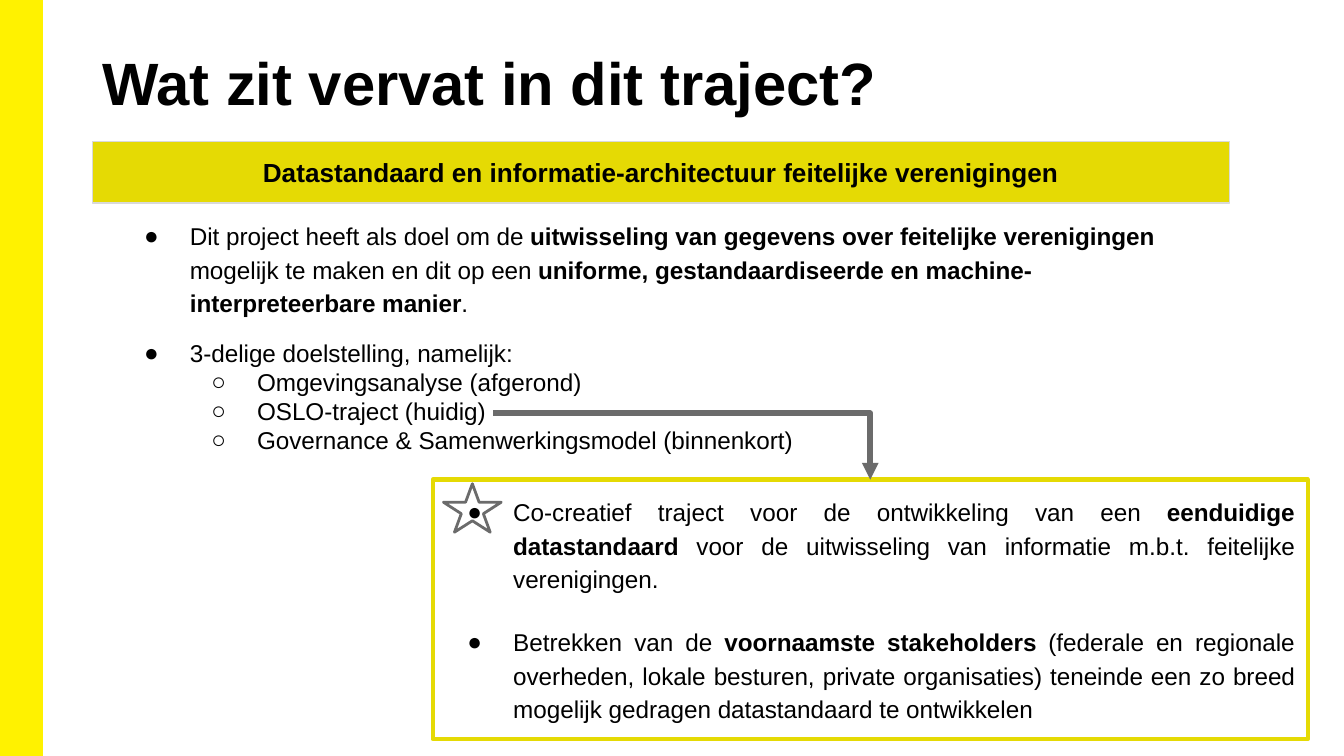
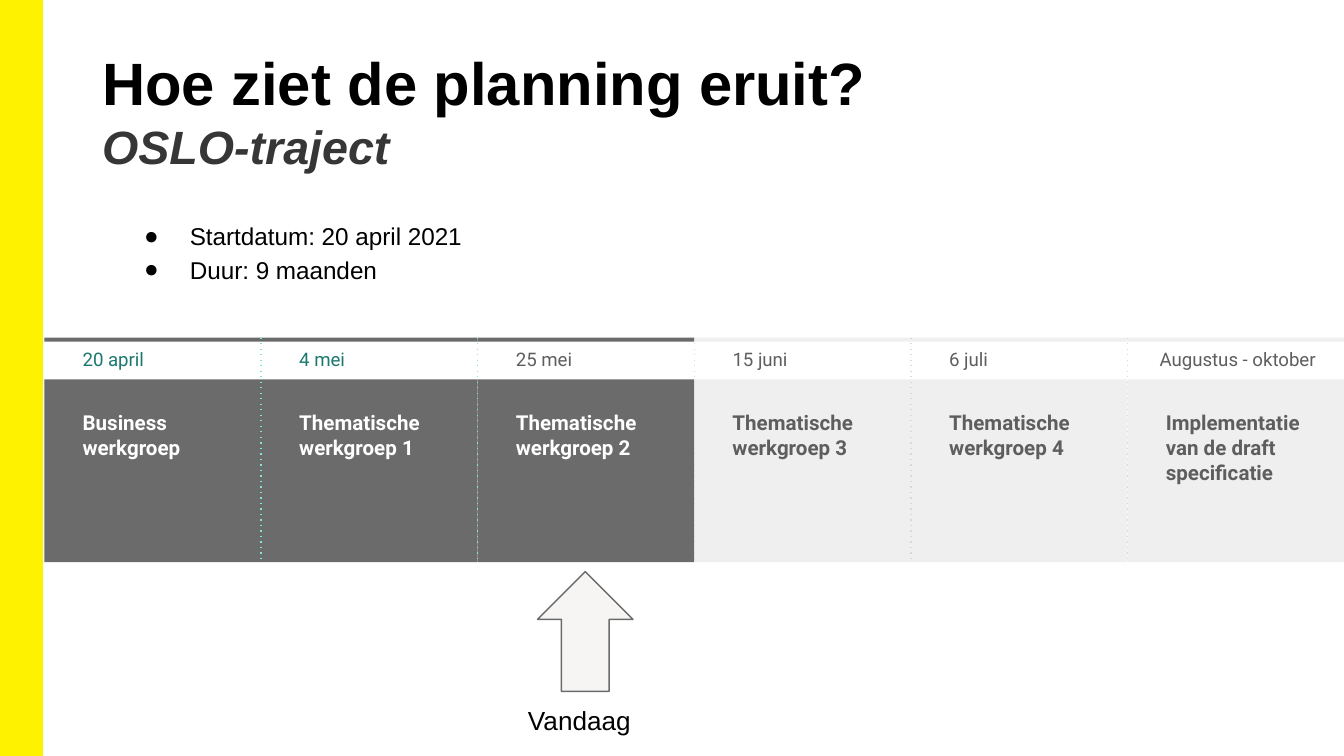
from dataclasses import dataclass

from lxml.etree import SubElement
from pptx import Presentation
from pptx.dml.color import RGBColor
from pptx.enum.shapes import MSO_CONNECTOR as Link, MSO_SHAPE as Preset
from pptx.enum.text import MSO_ANCHOR as Anchor, PP_ALIGN as Align
from pptx.oxml.ns import qn
from pptx.util import Inches, Pt


@dataclass(frozen=True)
class Theme:
    """Colours, fonts and type sizes of the presentation."""
    side: str = "FFF200"
    accent: str = "E5DA04"
    ink: str = "000000"
    subtitle: str = "373636"
    dark: str = "6B6B6B"
    pale: str = "EFEFEF"
    muted: str = "5E5E5E"
    white: str = "FFFFFF"
    rule: str = "D9D9D9"
    teal: str = "1B786E"
    mint: str = "83E3D9"
    arrow: str = "F6F5F3"
    body_font: str = "Arial"
    plan_font: str = "Roboto"
    title_size: int = 32
    subtitle_size: int = 25
    label_size: int = 14
    body_size: int = 13
    stage_size: int = 11
    date_size: int = 10


THEME = Theme()
WIDTH = Inches(10)
HEIGHT = WIDTH * 9 // 16
LOOSE = 1.15
STAGE_LEFT, STAGE_WIDTH = 3.3, 16.12
PLAN_TOP, PLAN_BOTTOM = 44.66, 74.38
STAGES = [
    ("20 april", "Business werkgroep"),
    ("4 mei", "Thematische werkgroep 1"),
    ("25 mei", "Thematische werkgroep 2"),
    ("15 juni", "Thematische werkgroep 3"),
    ("6 juli", "Thematische werkgroep 4"),
    ("Augustus - oktober", "Implementatie van de draft specificatie"),
]
PAST_STAGES, STARTED_STAGES = 2, 3


def across(percent):
    """Turn a share of the slide's width into a length."""
    return round(WIDTH * percent / 100)


def down(percent):
    """Turn a share of the slide's height into a length."""
    return round(HEIGHT * percent / 100)


def area(left, top, width, height):
    """Turn four shares of the slide into a position and size."""
    return across(left), down(top), across(width), down(height)


def rgb(colour):
    """Give the colour object for a hex value."""
    return RGBColor.from_string(colour)


def figure(shapes, preset, place, fill=None, line=None, weight=0.75):
    """Draw a preset shape with an optional fill and outline."""
    shape = shapes.add_shape(preset, *area(*place))
    shape.shadow.inherit = False
    if fill:
        shape.fill.solid()
        shape.fill.fore_color.rgb = rgb(fill)
    else:
        shape.fill.background()
    if line:
        shape.line.color.rgb = rgb(line)
        shape.line.width = Pt(weight)
    else:
        shape.line.fill.background()
    return shape


def connect(shapes, kind, start, end, colour, weight, detail, value):
    """Draw a connector with one line detail: a dash or an arrowhead."""
    link = shapes.add_connector(kind, across(start[0]), down(start[1]),
                                across(end[0]), down(end[1]))
    link.line.color.rgb = rgb(colour)
    link.line.width = Pt(weight)
    outline = link._element.spPr.find(qn("a:ln"))
    SubElement(outline, qn(detail), **value)
    SubElement(link._element.spPr, qn("a:effectLst"))
    return link


def prepare(shape, inset=(0.1, 0.1), anchor=Anchor.TOP):
    """Set the insets, wrapping and anchor of a text frame."""
    frame = shape.text_frame
    frame.word_wrap = True
    frame.vertical_anchor = anchor
    frame.margin_left = frame.margin_right = Inches(inset[0])
    frame.margin_top = frame.margin_bottom = Inches(inset[1])
    return frame


def write(frame, runs, size, colour=THEME.ink, font=THEME.body_font, bold=False,
          italic=False, align=Align.LEFT, spacing=None, before=0, after=0,
          bullet_level=None):
    """Add a paragraph; every second run in a list of runs is bold."""
    first = frame.paragraphs[0]
    paragraph = frame.add_paragraph() if first.runs else first
    if bullet_level is not None:
        add_bullet(paragraph, bullet_level)
    paragraph.alignment = align
    if spacing:
        paragraph.line_spacing = spacing
    if before:
        paragraph.space_before = Pt(before)
    if after:
        paragraph.space_after = Pt(after)
    for number, words in enumerate(runs):
        run = paragraph.add_run()
        run.text = words
        run.font.name = font
        run.font.size = Pt(size)
        run.font.bold = bold or number % 2 == 1
        run.font.italic = italic
        run.font.color.rgb = rgb(colour)


def add_bullet(paragraph, level):
    """Give a paragraph a hanging bullet for its level."""
    paragraph.level = level
    properties = paragraph._p.get_or_add_pPr()
    properties.set("marL", str(Inches(0.5 * (level + 1))))
    properties.set("indent", str(Inches(-0.34)))
    colour = SubElement(properties, qn("a:buClr"))
    SubElement(colour, qn("a:srgbClr"), val=THEME.ink)
    SubElement(properties, qn("a:buFont"), typeface=THEME.body_font)
    SubElement(properties, qn("a:buChar"), char="●○"[level])


def text_area(shapes, place, **layout):
    """Add an empty text box and return its frame."""
    return prepare(shapes.add_textbox(*area(*place)), **layout)


def start_slide(deck, title, subtitle=None):
    """Add a slide with the yellow side band and its heading."""
    shapes = deck.slides.add_slide(deck.slide_layouts[6]).shapes
    figure(shapes, Preset.RECTANGLE, (0, 0, 3.1, 100), THEME.side, THEME.side, 1)
    heading = text_area(shapes, (6.9, 5.34, 86.2, 14.41), inset=(0.07, 0.04))
    write(heading, [title], THEME.title_size, bold=True)
    if subtitle:
        write(heading, [subtitle], THEME.subtitle_size, THEME.subtitle,
              bold=True, italic=True)
    return shapes


def add_scope(deck):
    """Build the slide on what the project contains."""
    shapes = start_slide(deck, "Wat zit vervat in dit traject?")
    goals = text_area(shapes, (8.14, 26.95, 81.8, 35.77))
    write(goals, ["Dit project heeft als doel om de ",
                  "uitwisseling van gegevens over feitelijke verenigingen",
                  " mogelijk te maken en dit op een ",
                  "uniforme, gestandaardiseerde en machine-interpreteerbare manier",
                  "."], THEME.body_size, spacing=LOOSE, bullet_level=0)
    write(goals, ["3-delige doelstelling, namelijk:"], THEME.body_size,
          before=11, bullet_level=0)
    for part in ("Omgevingsanalyse (afgerond)", "OSLO-traject (huidig)",
                 "Governance & Samenwerkingsmodel (binnenkort)"):
        write(goals, [part], THEME.body_size, bullet_level=1)

    banner = figure(shapes, Preset.RECTANGLE, (6.9, 18.7, 84.6, 8.19),
                    THEME.accent, THEME.rule)
    write(prepare(banner, anchor=Anchor.MIDDLE),
          ["Datastandaard en informatie-architectuur feitelijke verenigingen"],
          THEME.label_size, bold=True, align=Align.CENTER)

    track = figure(shapes, Preset.RECTANGLE, (32.2, 63.45, 65.1, 34.34),
                   line=THEME.accent, weight=2.25)
    track_text = prepare(track)
    write(track_text, ["Co-creatief traject voor de ontwikkeling van een ",
                       "eenduidige datastandaard",
                       " voor de uitwisseling van informatie m.b.t. feitelijke verenigingen."],
          THEME.body_size, align=Align.JUSTIFY, spacing=LOOSE, bullet_level=0)
    write(track_text, ["Betrekken van de ", "voornaamste stakeholders",
                       " (federale en regionale overheden, lokale besturen, private "
                       "organisaties) teneinde een zo breed mogelijk gedragen "
                       "datastandaard te ontwikkelen"],
          THEME.body_size, align=Align.JUSTIFY, spacing=LOOSE, before=16, bullet_level=0)

    pointer = connect(shapes, Link.ELBOW, (36.7, 54.65), (64.75, 63.45), THEME.dark, 3,
                      "a:tailEnd", {"type": "triangle"})
    pointer.end_connect(track, 0)
    pointer._element.spPr.find(qn("a:prstGeom")).set("prst", "bentConnector2")
    figure(shapes, Preset.STAR_5_POINT, (33, 64, 4.3, 6.41),
           line=THEME.dark, weight=1.5)


def add_stage(shapes, index, date, name):
    """Draw one column of the timeline as a group."""
    stage = shapes.add_group_shape().shapes
    left = STAGE_LEFT + index * STAGE_WIDTH
    started, past = index < STARTED_STAGES, index < PAST_STAGES
    last = index == len(STAGES) - 1
    fill = THEME.dark if started else THEME.pale
    for top, height in ((50.18, 24.2), (PLAN_TOP, 0.53)):
        figure(stage, Preset.RECTANGLE, (left, top, STAGE_WIDTH, height), fill)
    label = text_area(stage, (left + 1.86, 52.49, 12.4, 7.12))
    write(label, [name], THEME.stage_size, THEME.white if started else THEME.muted,
          THEME.plan_font, bold=True)
    date_left, date_width = (1.4, 14.3) if last else (1.86, 9.2)
    day = text_area(stage, (left + date_left, PLAN_TOP, date_width, 2.67))
    write(day, [date], THEME.date_size, THEME.teal if past else THEME.muted,
          THEME.plan_font, spacing=LOOSE, after=16)
    if not last:
        edge = left + STAGE_WIDTH
        connect(stage, Link.STRAIGHT, (edge, PLAN_TOP), (edge, PLAN_BOTTOM),
                THEME.mint if past else THEME.rule, 0.75, "a:prstDash", {"val": "dot"})


def add_planning(deck):
    """Build the slide with the timeline of work sessions."""
    shapes = start_slide(deck, "Hoe ziet de planning eruit?", "OSLO-traject")
    facts = text_area(shapes, (8.14, 26.95, 81.8, 11.92))
    for fact in ("Startdatum: 20 april 2021", "Duur: 9 maanden"):
        write(facts, [fact], THEME.body_size, spacing=LOOSE, bullet_level=0)
    for index, (date, name) in reversed(list(enumerate(STAGES))):
        add_stage(shapes, index, date, name)
    figure(shapes, Preset.UP_ARROW, (40, 75.62, 7.1, 15.84), THEME.arrow, THEME.dark)
    today = text_area(shapes, (38.3, 91.4, 16.8, 7.83))
    write(today, ["Vandaag"], THEME.label_size)


def main():
    """Create and save the presentation."""
    deck = Presentation()
    deck.slide_width, deck.slide_height = WIDTH, HEIGHT
    add_scope(deck)
    add_planning(deck)
    deck.save("out.pptx")


if __name__ == "__main__":
    main()
